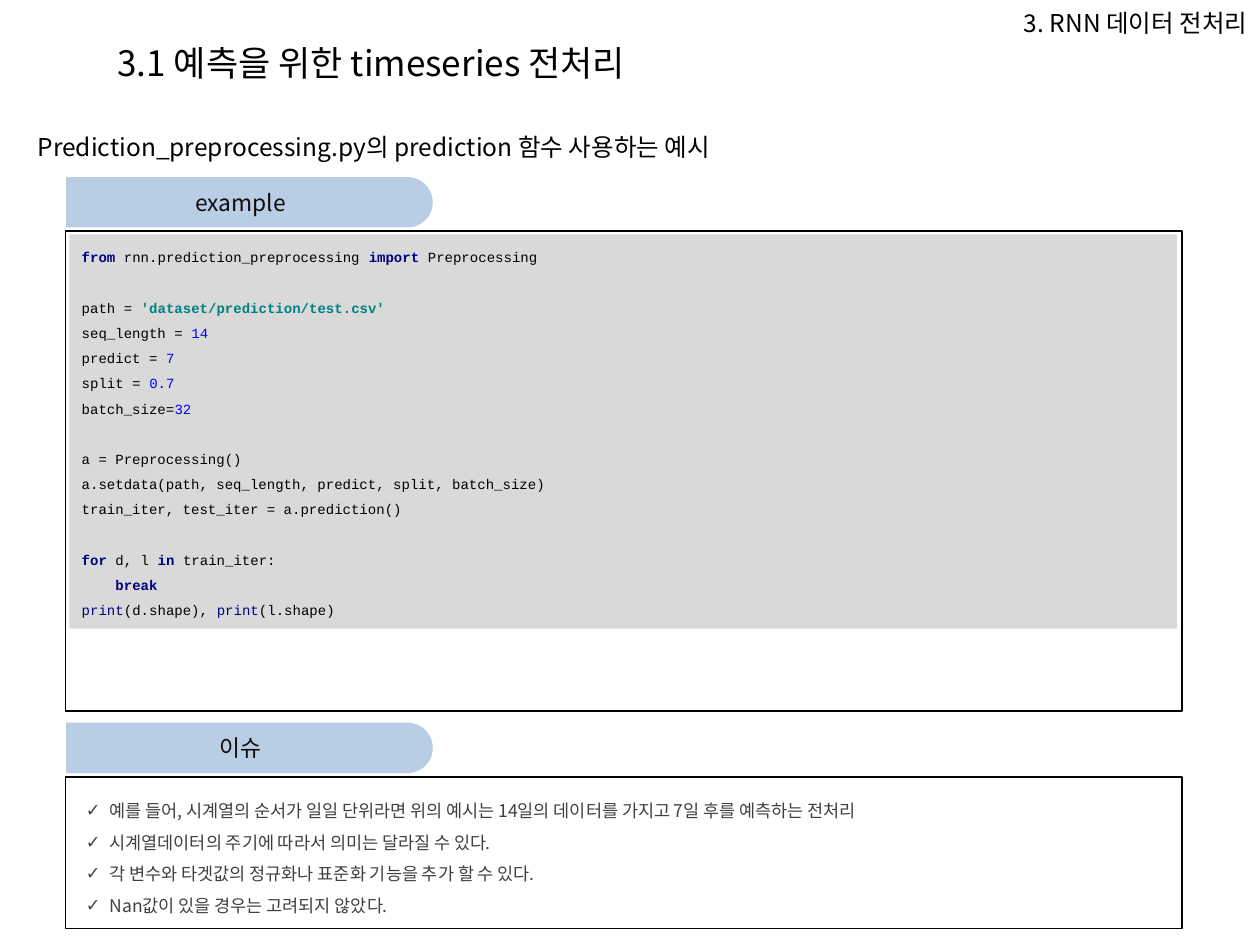
from dataclasses import dataclass

from lxml.etree import SubElement
from pptx import Presentation
from pptx.dml.color import RGBColor
from pptx.enum.shapes import MSO_SHAPE
from pptx.enum.text import MSO_ANCHOR, MSO_AUTO_SIZE, PP_ALIGN
from pptx.oxml.ns import qn
from pptx.util import Pt


@dataclass(frozen=True)
class Theme:
    sans: str = "Noto Sans CJK KR"
    mono: str = "Courier New"
    black: str = "000000"
    heading: str = "0D0D0D"
    body: str = "404040"
    tab: str = "B9CDE5"
    code_back: str = "D9D9D9"
    keyword: str = "000080"
    string: str = "008080"
    number: str = "0000FF"
    title_size: int = 20
    lead_size: int = 14
    tab_size: int = 13
    issue_size: int = 10
    code_size: int = 8


theme = Theme()
PLAIN = (theme.black, False)
KEYWORD = (theme.keyword, True)
BUILTIN = (theme.keyword, False)
STRING = (theme.string, True)
NUMBER = (theme.number, False)


def write(shape, lines, size, color=theme.black, font=theme.sans, align=PP_ALIGN.LEFT,
          anchor=MSO_ANCHOR.TOP, inset=(7.2, 3.6), spacing=None, bullet=None, gaps=()):
    """Write lines, each a string or a list of (text, (colour, bold)) runs.

    gaps holds the indexes of the lines that have an empty line's height above.
    """
    frame = shape.text_frame
    frame.word_wrap = True
    frame.auto_size = MSO_AUTO_SIZE.NONE
    frame.vertical_anchor = anchor
    frame.margin_left = frame.margin_right = Pt(inset[0])
    frame.margin_top = frame.margin_bottom = Pt(inset[1])
    for index, line in enumerate(lines):
        paragraph = frame.add_paragraph() if index else frame.paragraphs[0]
        paragraph.alignment = align
        paragraph.space_before = Pt(spacing if index in gaps else 0)
        if spacing:
            paragraph.line_spacing = Pt(spacing)
        if bullet:
            properties = paragraph._p.get_or_add_pPr()
            properties.set("marL", str(Pt(13.7)))
            properties.set("indent", str(Pt(-13.7)))
            SubElement(properties, qn("a:buChar")).set("char", bullet)
        runs = [(line, (color, False))] if isinstance(line, str) else line
        for text, (run_color, bold) in runs:
            run = paragraph.add_run()
            run.text = text
            run.font.size = Pt(size)
            run.font.bold = bold
            run.font.color.rgb = RGBColor.from_string(run_color)
            run.font.name = font
            SubElement(run._r.get_or_add_rPr(), qn("a:ea")).set("typeface", font)


def add_block(shapes, kind, left, top, width, height, fill=None):
    """Add a filled shape without a line, or an unfilled one with a black line."""
    block = shapes.add_shape(kind, Pt(left), Pt(top), Pt(width), Pt(height))
    block.shadow.inherit = False
    if fill:
        block.fill.solid()
        block.fill.fore_color.rgb = RGBColor.from_string(fill)
        block.line.fill.background()
    else:
        block.fill.background()
        block.line.color.rgb = RGBColor.from_string(theme.black)
        block.line.width = Pt(1)
    return block


presentation = Presentation()
presentation.slide_width, presentation.slide_height = Pt(720), Pt(540)
slide = presentation.slides.add_slide(presentation.slide_layouts[1])

# Title and the two lines of running text
title = slide.shapes.title
title.left, title.top, title.width, title.height = Pt(59.8), Pt(15.1), Pt(538.6), Pt(41)
write(title, ["3.1 예측을 위한 timeseries 전처리"], theme.title_size, anchor=MSO_ANCHOR.MIDDLE)

for text, left, top, width, align in (
    ("3. RNN 데이터 전처리", 457.9, 0, 262.1, PP_ALIGN.RIGHT),
    ("Prediction_preprocessing.py의 prediction 함수 사용하는 예시", 14.4, 70.6, 691.9, PP_ALIGN.LEFT),
):
    lead = slide.shapes.add_textbox(Pt(left), Pt(top), Pt(width), Pt(24.5))
    write(lead, [text], theme.lead_size, align=align, spacing=18)

# Two framed sections, each under a tab with a rounded right end
TAB_LEFT, TAB_WIDTH, TAB_HEIGHT = 37.8, 209.5, 28.8
for heading, tab_top, frame_top, frame_height in (
    ("example", 101.2, 131.8, 274.3),
    ("이슈", 413, 444.2, 86.4),
):
    add_block(slide.shapes, MSO_SHAPE.RECTANGLE, 37.4, frame_top, 637.9, frame_height)
    tab = slide.shapes.add_group_shape().shapes
    offset = (TAB_WIDTH - TAB_HEIGHT) / 2
    rounded = add_block(tab, MSO_SHAPE.ROUND_2_SAME_RECTANGLE, TAB_LEFT + offset,
                        tab_top - offset, TAB_HEIGHT, TAB_WIDTH, theme.tab)
    rounded.rotation = 90
    rounded.adjustments[0], rounded.adjustments[1] = 0.5, 0
    label = add_block(tab, MSO_SHAPE.RECTANGLE, 38.9, tab_top + 1, 197.3, 26.6, theme.tab)
    write(label, [heading], theme.tab_size, theme.heading, align=PP_ALIGN.CENTER,
          anchor=MSO_ANCHOR.MIDDLE, inset=(0, 0))

# Code example
code_lines = [
    [("from ", KEYWORD), ("rnn.prediction_preprocessing ", PLAIN),
     ("import ", KEYWORD), ("Preprocessing", PLAIN)],
    [("path = ", PLAIN), ("'dataset/prediction/test.csv'", STRING)],
    [("seq_length = ", PLAIN), ("14", NUMBER)],
    [("predict = ", PLAIN), ("7", NUMBER)],
    [("split = ", PLAIN), ("0.7", NUMBER)],
    [("batch_size=", PLAIN), ("32", NUMBER)],
    "a = Preprocessing()",
    "a.setdata(path, seq_length, predict, split, batch_size)",
    "train_iter, test_iter = a.prediction()",
    [("for ", KEYWORD), ("d, l ", PLAIN), ("in ", KEYWORD), ("train_iter:", PLAIN)],
    [("    ", PLAIN), ("break", KEYWORD)],
    [("print", BUILTIN), ("(d.shape), ", PLAIN), ("print", BUILTIN), ("(l.shape)", PLAIN)],
]
code = add_block(slide.shapes, MSO_SHAPE.RECTANGLE, 39.6, 133.9, 632.9, 225.4, theme.code_back)
write(code, code_lines, theme.code_size, font=theme.mono, spacing=14.4, gaps=(1, 6, 9))

# Issues
issues = slide.placeholders[1]
issues.left, issues.top, issues.width, issues.height = Pt(49), Pt(451.4), Pt(615.6), Pt(72.7)
write(issues, [
    "예를 들어, 시계열의 순서가 일일 단위라면 위의 예시는 14일의 데이터를 가지고 7일 후를 예측하는 전처리",
    "시계열데이터의 주기에 따라서 의미는 달라질 수 있다.",
    "각 변수와 타겟값의 정규화나 표준화 기능을 추가 할 수 있다.",
    "Nan값이 있을 경우는 고려되지 않았다.",
], theme.issue_size, theme.body, inset=(0, 0), spacing=18, bullet="✓")

presentation.save("out.pptx")
